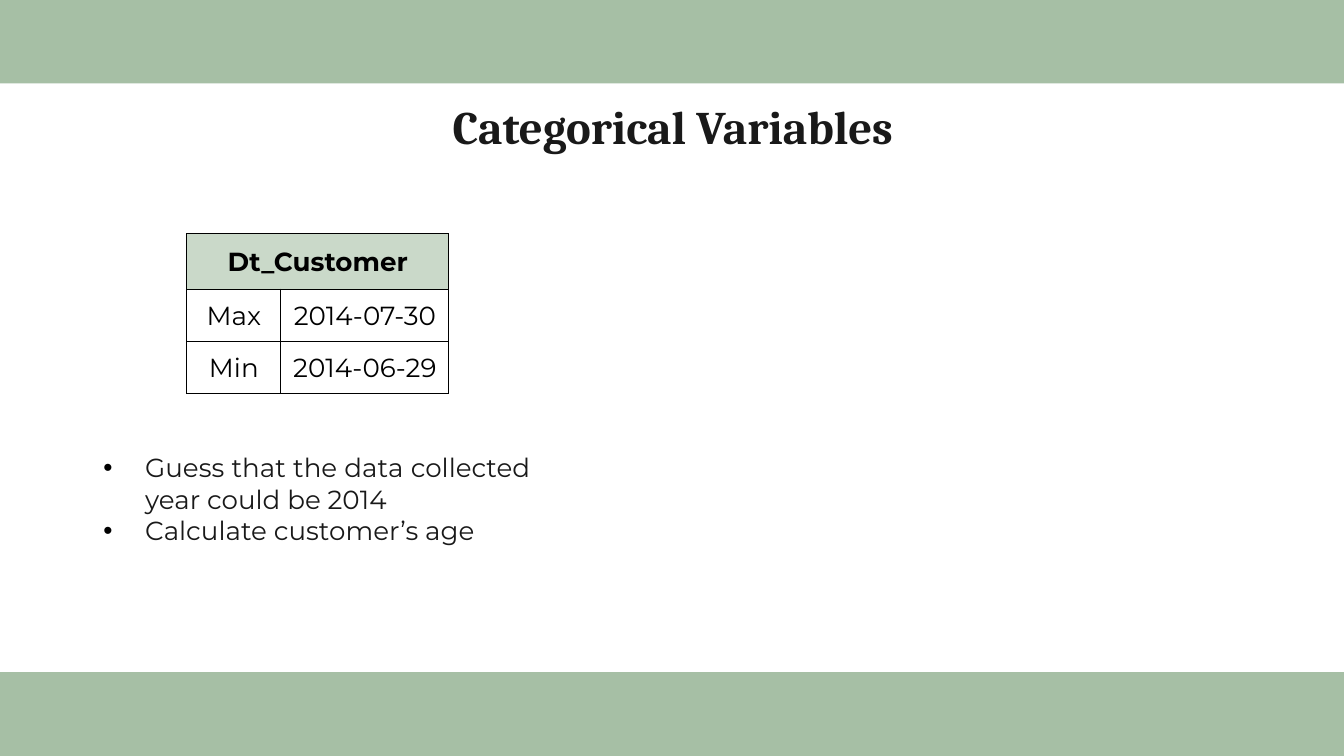
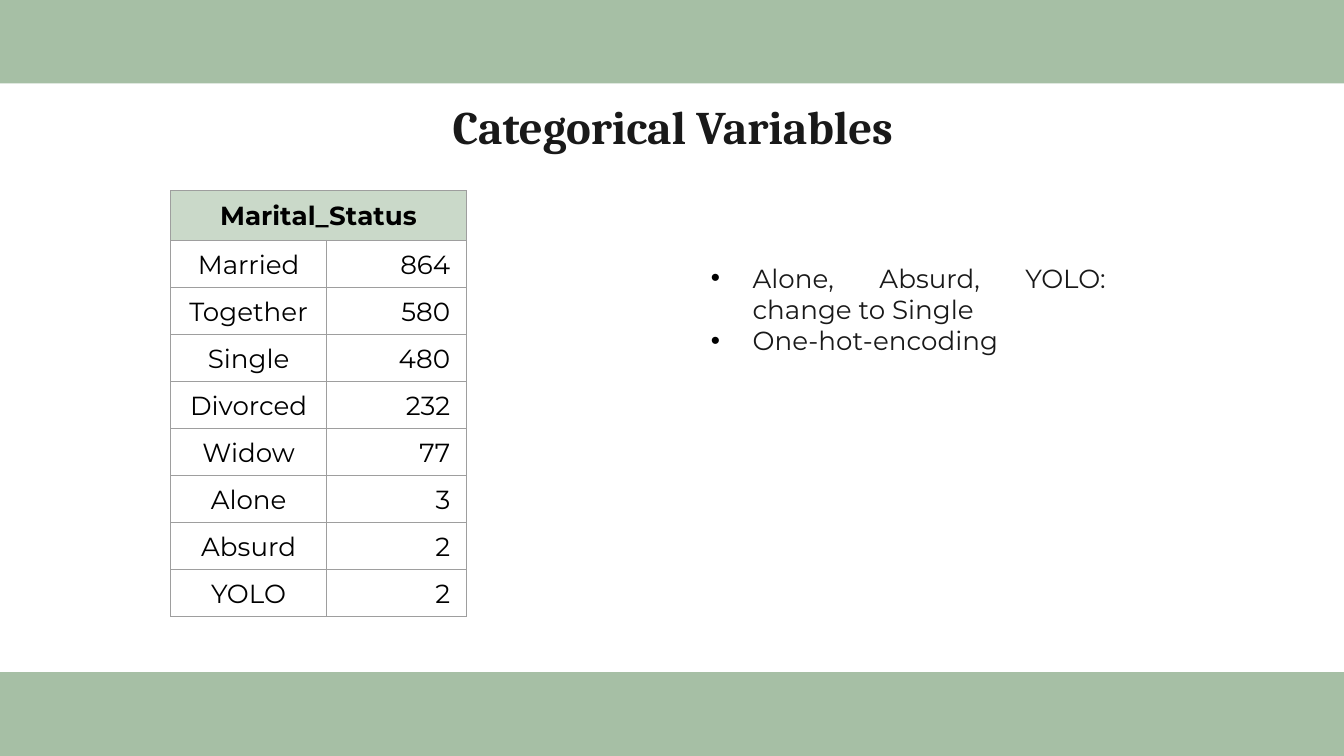
"""Build two slides on categorical variables, each with a table and its findings."""
from lxml.etree import SubElement
from pptx import Presentation
from pptx.dml.color import RGBColor
from pptx.enum.shapes import MSO_SHAPE as Preset
from pptx.enum.text import MSO_ANCHOR as Anchor, MSO_AUTO_SIZE as AutoSize, PP_ALIGN as Align
from pptx.oxml.ns import qn
from pptx.util import Inches, Pt

COLORS = {
    "sage": "A6BFA5",
    "header": "CAD9C9",
    "paper": "FFFFFF",
    "ink": "191919",
    "black": "000000",
    "grey": "9E9E9E",
}
INSET = Inches(0.1)
HANG = Inches(0.31)

TOPICS = [
    {
        "header": "Dt_Customer",
        "rows": [("Max", "2014-07-30"), ("Min", "2014-06-29")],
        "table_at": (1.39, 1.74),
        "widths": (0.7, 1.25),
        "heights": (0.41, 0.39),
        "border": ("black", 0.5),
        "value_align": Align.CENTER,
        "value_inset": 0.01,
        "findings": [
            "Guess that the data collected year could be 2014",
            "Calculate customer’s age",
        ],
        "findings_at": (0.67, 3.26, 3.38, 1.01),
    },
    {
        "header": "Marital_Status",
        "rows": [
            ("Married", "864"),
            ("Together", "580"),
            ("Single", "480"),
            ("Divorced", "232"),
            ("Widow", "77"),
            ("Alone", "3"),
            ("Absurd", "2"),
            ("YOLO", "2"),
        ],
        "table_at": (1.27, 1.42),
        "widths": (1.16, 1.04),
        "heights": (0.37, 0.35),
        "border": ("grey", 0.75),
        "value_align": Align.RIGHT,
        "value_inset": 0.12,
        "findings": ["Alone, Absurd, YOLO: change to Single", "One-hot-encoding"],
        "findings_at": (5.19, 1.85, 3.14, 0.92),
    },
]


def write(paragraph, text, size=14, font="Montserrat", color="black", bold=False, align=Align.CENTER):
    paragraph.text = text
    paragraph.alignment = align
    paragraph.space_before = Pt(0)
    paragraph.font.size = Pt(size)
    paragraph.font.name = font
    paragraph.font.bold = bold
    paragraph.font.color.rgb = RGBColor.from_string(COLORS[color])


def place(placeholder, left, top, width, height, anchor):
    placeholder.left, placeholder.top = Inches(left), Inches(top)
    placeholder.width, placeholder.height = Inches(width), Inches(height)
    frame = placeholder.text_frame
    frame.margin_left = frame.margin_right = frame.margin_top = frame.margin_bottom = INSET
    frame.vertical_anchor = anchor
    frame.word_wrap = True
    frame.auto_size = AutoSize.NONE
    return frame


deck = Presentation()
deck.slide_width, deck.slide_height = Inches(10), Inches(5.625)
backdrop = deck.slide_master.background.fill
backdrop.solid()
backdrop.fore_color.rgb = RGBColor.from_string(COLORS["sage"])
layout = deck.slide_layouts[1]

for number, topic in enumerate(TOPICS):
    slide = deck.slides.add_slide(layout)

    if number == 0:
        panel = slide.shapes.add_shape(Preset.RECTANGLE, 0, Inches(0.62), deck.slide_width, Inches(4.38))
        panel.shadow.inherit = False
        panel.fill.solid()
        panel.fill.fore_color.rgb = RGBColor.from_string(COLORS["paper"])
        panel.line.fill.background()
        panel.element.nvSpPr.cNvPr.set("id", "20")
        layout.shapes.element.insert(2, panel.element)

    heading = place(slide.shapes.title, 0.79, 0.62, 8.43, 0.63, Anchor.MIDDLE)
    write(heading.paragraphs[0], "Categorical Variables", size=25, font="Cambria", color="ink", bold=True)

    findings = place(slide.placeholders[1], *topic["findings_at"], Anchor.TOP)
    for index, finding in enumerate(topic["findings"]):
        paragraph = findings.add_paragraph() if index else findings.paragraphs[0]
        properties = paragraph._p.get_or_add_pPr()
        properties.set("marL", str(HANG))
        properties.set("indent", str(-HANG))
        bullet_color = SubElement(properties, qn("a:buClr"))
        SubElement(bullet_color, qn("a:srgbClr"), val=COLORS["black"])
        SubElement(properties, qn("a:buFont"), typeface="Arial")
        SubElement(properties, qn("a:buChar"), char="•")
        write(paragraph, finding, color="ink", align=Align.JUSTIFY)

    rows = [(topic["header"], ""), *topic["rows"]]
    header_height, row_height = topic["heights"]
    left, top = topic["table_at"]
    table = slide.shapes.add_table(
        len(rows), 2, Inches(left), Inches(top), Inches(sum(topic["widths"])),
        Inches(header_height + row_height * len(topic["rows"])),
    ).table
    table.horz_banding = table.first_row = False
    for column, width in zip(table.columns, topic["widths"]):
        column.width = Inches(width)
    border_color, border_width = topic["border"]

    for r, row in enumerate(rows):
        table.rows[r].height = Inches(row_height if r else header_height)
        for c, text in enumerate(row):
            cell = table.cell(r, c)
            is_value = r > 0 and c == 1
            cell.margin_left = cell.margin_top = Inches(0.01)
            cell.margin_right = Inches(topic["value_inset"] if is_value else 0.01)
            cell.margin_bottom = 0
            cell.vertical_anchor = Anchor.MIDDLE
            for side in ("lnL", "lnR", "lnT", "lnB"):
                edge = SubElement(cell._tc.get_or_add_tcPr(), qn(f"a:{side}"), w=str(Pt(border_width)))
                edge_fill = SubElement(edge, qn("a:solidFill"))
                SubElement(edge_fill, qn("a:srgbClr"), val=COLORS[border_color])
            if r == 0:
                cell.fill.solid()
                cell.fill.fore_color.rgb = RGBColor.from_string(COLORS["header"])
            else:
                cell.fill.background()
            align = topic["value_align"] if is_value else Align.CENTER
            write(cell.text_frame.paragraphs[0], text, bold=r == 0, align=align)
    table.cell(0, 0).merge(table.cell(0, 1))

deck.save("out.pptx")
